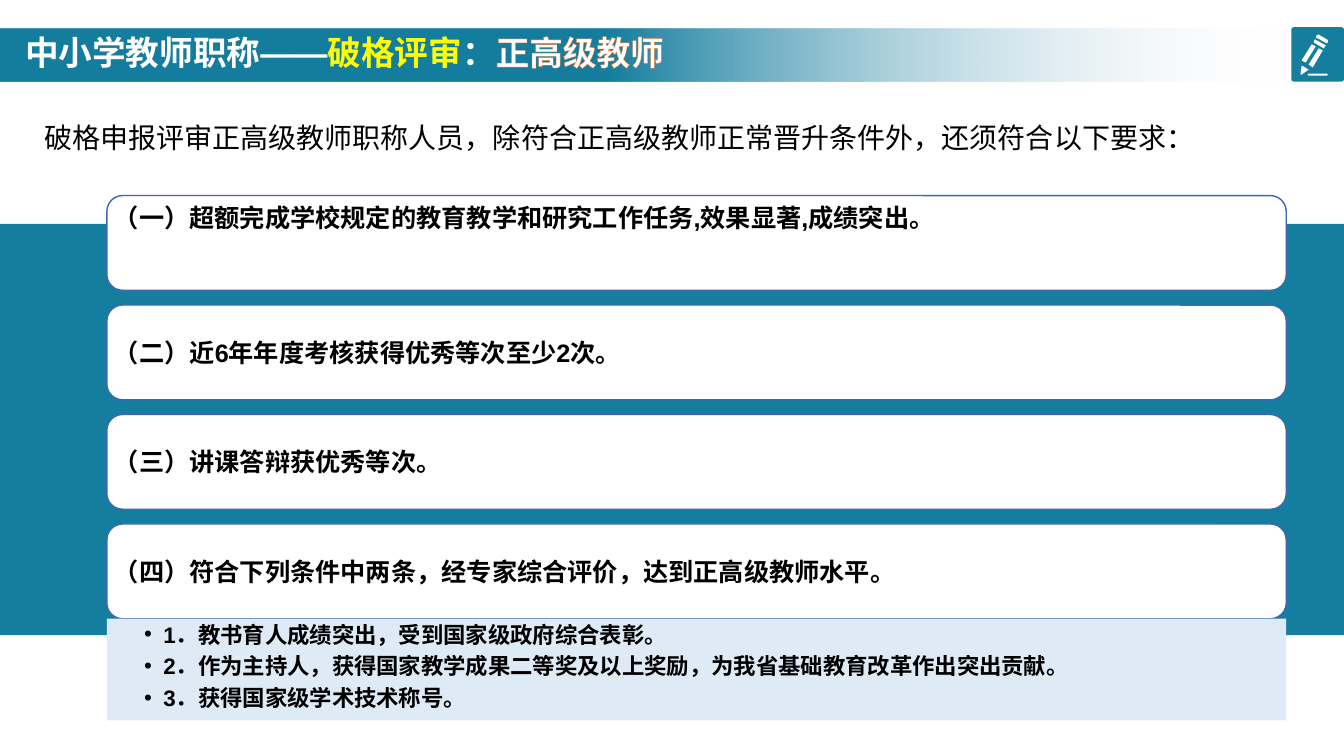
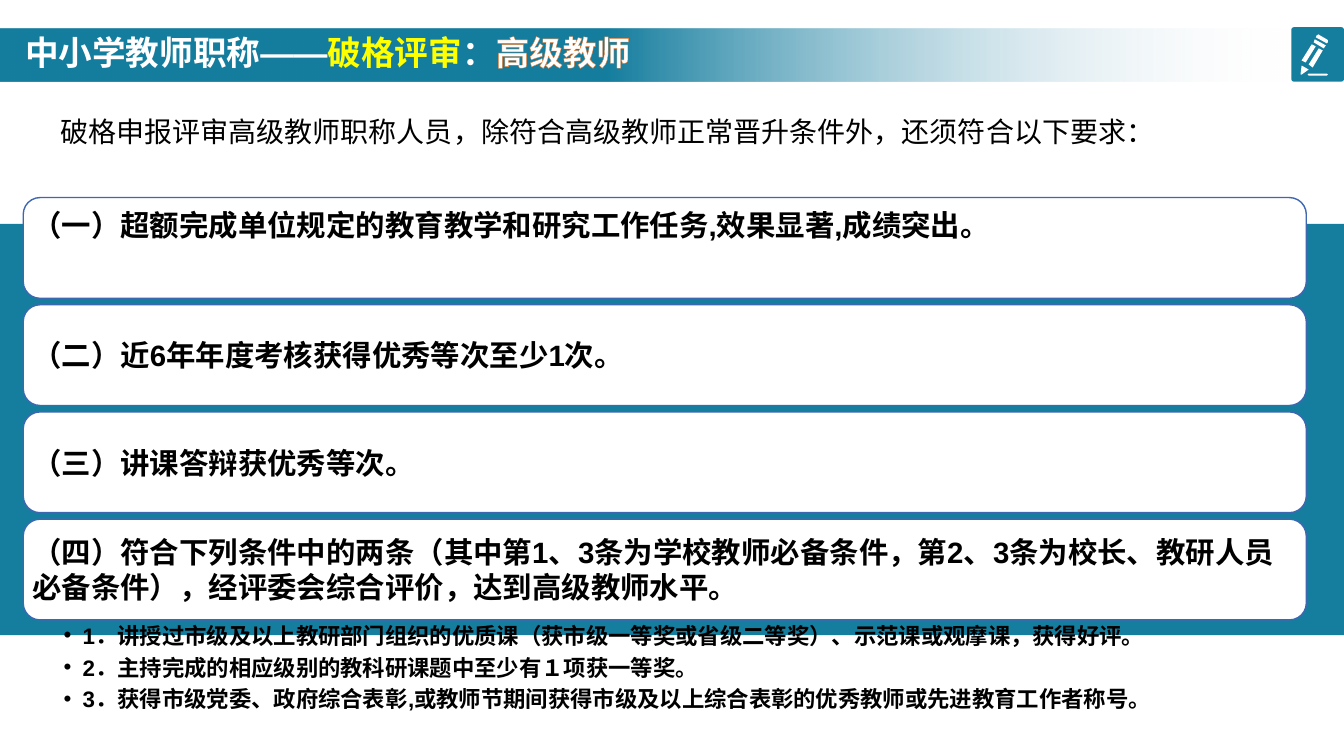
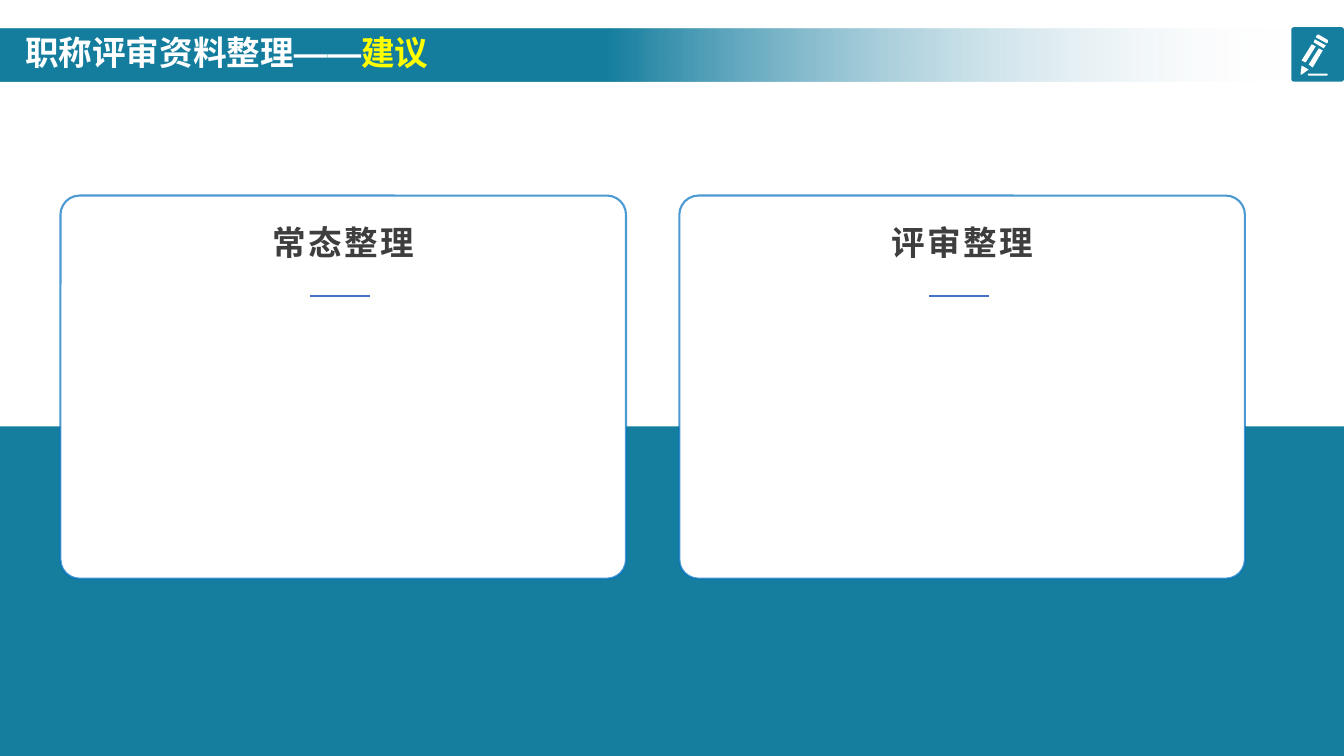
from dataclasses import dataclass
from typing import Optional

from lxml.etree import SubElement
from pptx import Presentation
from pptx.dml.color import RGBColor
from pptx.enum.shapes import MSO_CONNECTOR, MSO_SHAPE as Preset
from pptx.enum.text import MSO_ANCHOR as Anchor, MSO_AUTO_SIZE as Fit, PP_ALIGN as Align
from pptx.oxml.ns import qn
from pptx.util import Emu, Inches, Pt

SLIDE_WIDTH, SLIDE_HEIGHT = Inches(13.33), Inches(7.5)
TITLE_ONLY = 5
ROUND_RATIO = 0.16667  # default corner of a rounded rectangle
CORNER_INSET = 0.29    # share of the corner radius kept free of text


@dataclass(frozen=True)
class Theme:
    teal: str = "157E9F"
    pale: str = "F6F8FC"
    white: str = "FFFFFF"
    black: str = "000000"
    yellow: str = "FFFF00"
    orange: str = "ED7D31"
    card_line: str = "3E67B2"
    panel_line: str = "0070C0"
    rule: str = "4472C4"
    detail_fill: str = "DEEBF7"
    heading: str = "3E3E3E"
    font: str = "Arial"
    heading_font: str = "Noto Sans CJK SC"
    title_size: float = 24
    intro_size: float = 20
    detail_size: float = 16


THEME = Theme()


@dataclass(frozen=True)
class Area:
    """A rectangle in percent of the slide's width and height."""
    left: float
    top: float
    width: float
    height: float

    def box(self) -> tuple[Emu, Emu, Emu, Emu]:
        return across(self.left), down(self.top), across(self.width), down(self.height)


@dataclass(frozen=True)
class Span:
    text: str
    color: str = THEME.white
    outline: Optional[str] = None


@dataclass(frozen=True)
class Requirements:
    title: list[Span]
    intro: str
    intro_area: Area
    first_card: Area
    pitch: float
    card_size: float
    card_inset: float
    cards: list[str]
    details: list[str]
    detail_inset: float
    detail_fill: Optional[str] = None


BAND = Area(0, 3.73, 96, 7.07)
ICON_TILE = Area(96.08, 3.6, 3.92, 7.2)
TITLE = Area(1.12, 4.13, 66.82, 6.13)
REQUIREMENT_BLOCK = Area(0, 29.6, 100, 54.4)
ADVICE_BLOCK = Area(0, 56.4, 100, 43.6)
PANEL = Area(4.5, 25.87, 42.08, 50.67)
PANEL_PITCH = 46.05
DETAIL_HEIGHT = 13.47

# Outlines of the pencil, in hundredths of an inch
PENCIL = [
    [(1313, 48), (1303, 42), (1304, 39), (1315, 45)],
    [(1317, 42), (1317, 40), (1316, 39), (1309, 35), (1307.5, 34.3), (1306, 35),
     (1305, 37), (1316, 43)],
    [(1302, 67), (1312, 50), (1308, 48), (1298, 64)],
    [(1291, 65), (1290, 73), (1290, 74.3), (1291, 74), (1298, 69)],
    [(1305, 46), (1301, 44), (1291, 60), (1295, 62)],
    [(1316, 73), (1298, 73), (1297, 74), (1298, 75), (1316, 75), (1317, 74)],
]


def across(percent: float) -> Emu:
    return Emu(round(SLIDE_WIDTH * percent / 100))


def down(percent: float) -> Emu:
    return Emu(round(SLIDE_HEIGHT * percent / 100))


def set_alpha(parent, percent: int) -> None:
    """Make the first RGB colour below parent partly transparent."""
    color = next(parent.iter(qn("a:srgbClr")))
    SubElement(color, qn("a:alpha"), val=str(percent * 1000))


def paint(shape, fill: Optional[str], line: Optional[str] = None, width: float = 1) -> None:
    shape.shadow.inherit = False
    if fill:
        shape.fill.solid()
        shape.fill.fore_color.rgb = RGBColor.from_string(fill)
    else:
        shape.fill.background()
    if line:
        shape.line.color.rgb = RGBColor.from_string(line)
        shape.line.width = Pt(width)
    else:
        shape.line.fill.background()


def add_block(page, area: Area, fill: Optional[str], line: Optional[str] = None,
              width: float = 1, preset=Preset.RECTANGLE, corner: Optional[float] = None):
    shape = page.shapes.add_shape(preset, *area.box())
    paint(shape, fill, line, width)
    if corner is not None:
        shape.adjustments[0] = corner
    return shape


def set_frame(frame, anchor=Anchor.TOP, side: float = 0.1, vertical: float = 0.05,
              left: Optional[float] = None) -> None:
    frame.word_wrap = True
    frame.auto_size = Fit.NONE
    frame.vertical_anchor = anchor
    frame.margin_left = Inches(side if left is None else left)
    frame.margin_right = Inches(side)
    frame.margin_top = frame.margin_bottom = Inches(vertical)


def add_run(para, span: Span, size: float, bold: bool = True, font: str = THEME.font):
    run = para.add_run()
    run.text = span.text
    run.font.size = Pt(size)
    run.font.bold = bold
    run.font.color.rgb = RGBColor.from_string(span.color)
    run.font.name = font
    properties = run.font._element
    SubElement(properties, qn("a:ea"), typeface=font)
    if span.outline:
        outline = SubElement(properties, qn("a:ln"), w=str(Pt(0.52)))
        fill = SubElement(outline, qn("a:solidFill"))
        SubElement(fill, qn("a:srgbClr"), val=span.outline)
        properties.insert(0, outline)
    return run


def add_bullet(para) -> None:
    properties = para._p.get_or_add_pPr()
    indent = Inches(0.19)
    properties.set("marL", str(indent))
    properties.set("indent", str(-indent))
    SubElement(properties, qn("a:buFont"), typeface=THEME.font)
    SubElement(properties, qn("a:buChar"), char="•")


def add_pencil(page):
    builder = page.shapes.build_freeform(*PENCIL[0][0], scale=Inches(0.01))
    for index, (start, *rest) in enumerate(PENCIL):
        if index:
            builder.move_to(*start)
        builder.add_line_segments(rest, close=True)
    shape = builder.convert_to_shape()
    paint(shape, THEME.white)
    return shape


def furnish_layout(layout, page) -> None:
    """Draw the band and icon on a page, then move them to its layout."""
    for holder in list(layout.placeholders):
        if holder.placeholder_format.idx >= 10:
            holder.element.getparent().remove(holder.element)
    band = add_block(page, BAND, THEME.teal)
    band.fill.gradient()
    band.fill.gradient_angle = 180
    clear, solid = band.fill.gradient_stops
    clear.position, solid.position = 0, 0.53
    clear.color.rgb = RGBColor.from_string(THEME.pale)
    solid.color.rgb = RGBColor.from_string(THEME.teal)
    set_alpha(band.element, 0)
    tile = add_block(page, ICON_TILE, THEME.teal, preset=Preset.ROUNDED_RECTANGLE, corner=0.05)
    for shape in (band, tile, add_pencil(page)):
        layout.shapes.element.append(shape.element)


def set_title(page, spans: list[Span]) -> None:
    title = page.shapes.title
    title.left, title.top, title.width, title.height = TITLE.box()
    set_frame(title.text_frame, Anchor.MIDDLE)
    para = title.text_frame.paragraphs[0]
    para.alignment = Align.LEFT
    para.line_spacing = 0.9
    for span in spans:
        add_run(para, span, THEME.title_size)


def add_intro(page, area: Area, text: str) -> None:
    frame = page.shapes.add_textbox(*area.box()).text_frame
    set_frame(frame)
    add_run(frame.paragraphs[0], Span(text, THEME.black), THEME.intro_size, bold=False)


def add_cards(page, content: Requirements) -> None:
    first = content.first_card
    radius = ROUND_RATIO * SLIDE_HEIGHT.inches * first.height / 100
    inset = content.card_inset - CORNER_INSET * radius
    for index, text in enumerate(content.cards):
        area = Area(first.left, first.top + index * content.pitch, first.width, first.height)
        card = add_block(page, area, THEME.white, THEME.card_line,
                         preset=Preset.ROUNDED_RECTANGLE)
        set_frame(card.text_frame, Anchor.MIDDLE if index else Anchor.TOP, inset, inset)
        para = card.text_frame.paragraphs[0]
        para.alignment = Align.LEFT
        add_run(para, Span(text, THEME.black), content.card_size)


def add_details(page, content: Requirements) -> None:
    first = content.first_card
    top = first.top + (len(content.cards) - 1) * content.pitch + first.height
    box = add_block(page, Area(first.left, top, first.width, DETAIL_HEIGHT), content.detail_fill)
    frame = box.text_frame
    set_frame(frame, side=0.12, vertical=0.02, left=content.detail_inset)
    for index, text in enumerate(content.details):
        para = frame.add_paragraph() if index else frame.paragraphs[0]
        para.alignment = Align.LEFT
        para.space_after = Pt(3.5)
        add_bullet(para)
        add_run(para, Span(text, THEME.black), THEME.detail_size)


def fill_requirements(page, content: Requirements) -> None:
    add_block(page, REQUIREMENT_BLOCK, THEME.teal)
    set_title(page, content.title)
    add_intro(page, content.intro_area, content.intro)
    add_cards(page, content)
    add_details(page, content)


def add_panel(page, column: int, heading: str) -> None:
    left = PANEL.left + column * PANEL_PITCH
    panel = add_block(page, Area(left, PANEL.top, PANEL.width, PANEL.height), THEME.white,
                      THEME.panel_line, 1.5, Preset.ROUNDED_RECTANGLE, 0.05)
    set_alpha(panel.line._get_or_add_ln(), 70)

    area = Area(left, PANEL.top + 1.87, PANEL.width, 6.27)
    frame = page.shapes.add_textbox(*area.box()).text_frame
    set_frame(frame, side=0, vertical=0)
    para = frame.paragraphs[0]
    para.alignment = Align.CENTER
    para.line_spacing = 1.3
    para.space_after = Pt(6)
    run = add_run(para, Span(heading, THEME.heading), THEME.title_size, font=THEME.heading_font)
    run.font._element.set("spc", "160")

    start, height = left + 18.6, down(39.2)
    rule = page.shapes.add_connector(MSO_CONNECTOR.STRAIGHT, across(start), height,
                                     across(start + 4.43), height)
    rule.line.color.rgb = RGBColor.from_string(THEME.rule)
    rule.line.width = Pt(1.5)
    SubElement(rule.element.spPr, qn("a:effectLst"))


def fill_advice(page) -> None:
    set_title(page, [Span("职称评审资料整理——"), Span("建议", THEME.yellow)])
    add_block(page, ADVICE_BLOCK, THEME.teal)
    for column, heading in enumerate(["常态整理", "评审整理"]):
        add_panel(page, column, heading)


def review_title(rank: str) -> list[Span]:
    return [Span("中小学教师职称——"), Span("破格评审", THEME.yellow), Span("："),
            Span(rank, outline=THEME.orange)]


REQUIREMENTS = [
    Requirements(
        title=review_title("正高级教师"),
        intro="破格申报评审正高级教师职称人员，除符合正高级教师正常晋升条件外，还须符合以下要求：",
        intro_area=Area(2.55, 15.33, 91.5, 5.87),
        first_card=Area(7.95, 25.87, 87.75, 12.53),
        pitch=14.48, card_size=18, card_inset=0.07,
        cards=[
            "（一）超额完成学校规定的教育教学和研究工作任务,效果显著,成绩突出。",
            "（二）近6年年度考核获得优秀等次至少2次。",
            "（三）讲课答辩获优秀等次。",
            "（四）符合下列条件中两条，经专家综合评价，达到正高级教师水平。",
        ],
        details=[
            "1．教书育人成绩突出，受到国家级政府综合表彰。",
            "2．作为主持人，获得国家教学成果二等奖及以上奖励，为我省基础教育改革作出突出贡献。",
            "3．获得国家级学术技术称号。",
        ],
        detail_inset=0.37, detail_fill=THEME.detail_fill,
    ),
    Requirements(
        title=review_title("高级教师"),
        intro="破格申报评审高级教师职称人员，除符合高级教师正常晋升条件外，还须符合以下要求：",
        intro_area=Area(3.75, 14.53, 91.5, 5.87),
        first_card=Area(1.73, 26.13, 95.47, 13.33),
        pitch=14.18, card_size=21, card_inset=0.09,
        cards=[
            "（一）超额完成单位规定的教育教学和研究工作任务,效果显著,成绩突出。",
            "（二）近6年年度考核获得优秀等次至少1次。",
            "（三）讲课答辩获优秀等次。",
            "（四）符合下列条件中的两条（其中第1、3条为学校教师必备条件，第2、3条为校长、"
            "教研人员必备条件），经评委会综合评价，达到高级教师水平。",
        ],
        details=[
            "1．讲授过市级及以上教研部门组织的优质课（获市级一等奖或省级二等奖）、"
            "示范课或观摩课，获得好评。",
            "2．主持完成的相应级别的教科研课题中至少有１项获一等奖。",
            "3．获得市级党委、政府综合表彰,或教师节期间获得市级及以上综合表彰的"
            "优秀教师或先进教育工作者称号。",
        ],
        detail_inset=0.4,
    ),
]


def main() -> None:
    deck = Presentation()
    deck.slide_width, deck.slide_height = SLIDE_WIDTH, SLIDE_HEIGHT
    layout = deck.slide_layouts[TITLE_ONLY]
    pages = [deck.slides.add_slide(layout) for _ in range(len(REQUIREMENTS) + 1)]
    furnish_layout(layout, pages[0])
    for page, content in zip(pages, REQUIREMENTS):
        fill_requirements(page, content)
    fill_advice(pages[-1])
    deck.save("out.pptx")


if __name__ == "__main__":
    main()
